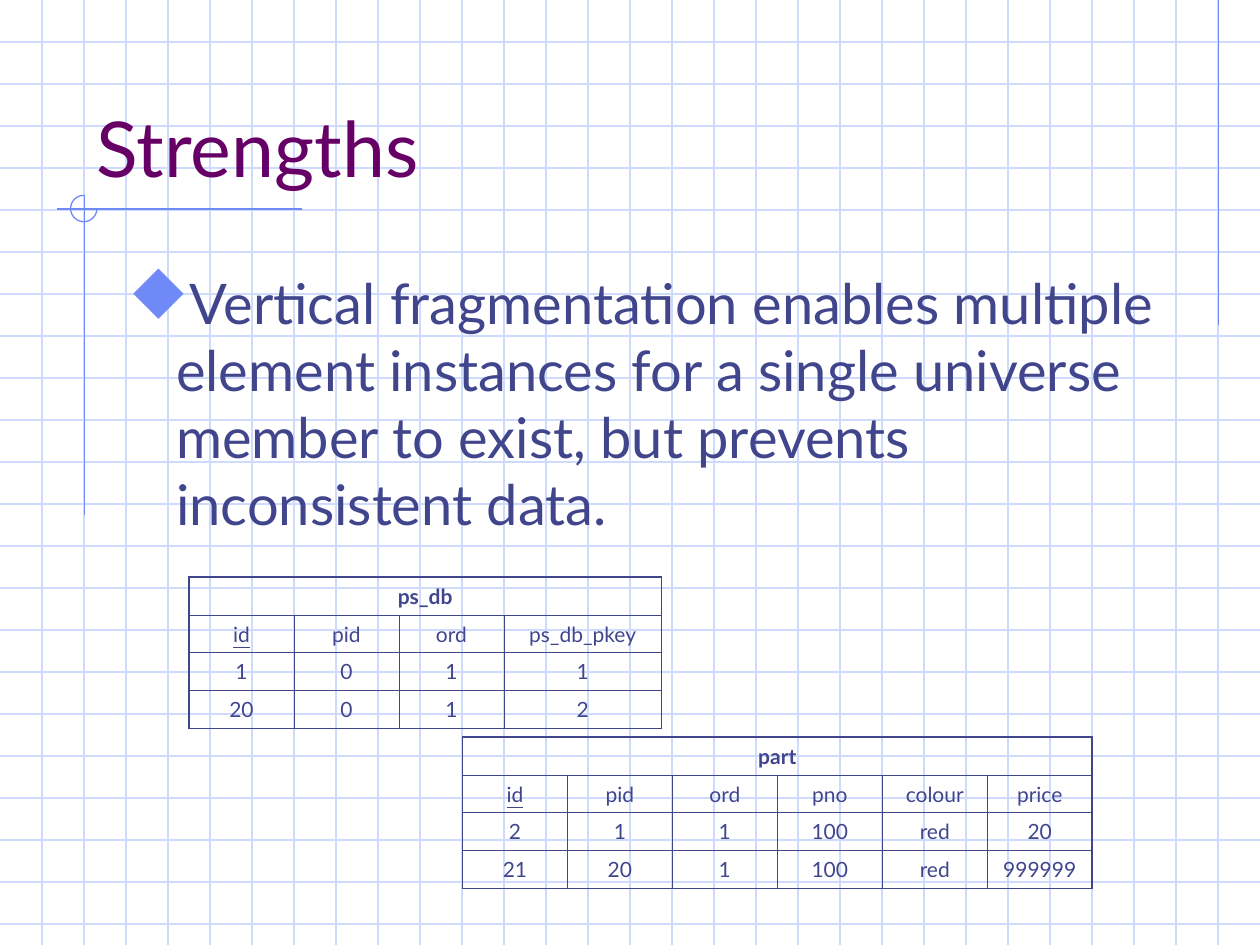
from lxml import etree
from pptx import Presentation
from pptx.dml.color import RGBColor
from pptx.enum.shapes import MSO_CONNECTOR, MSO_SHAPE
from pptx.enum.text import MSO_ANCHOR, PP_ALIGN
from pptx.oxml.ns import qn
from pptx.util import Inches, Pt

STRAIGHT = MSO_CONNECTOR.STRAIGHT
ARC = MSO_SHAPE.ARC
BOTTOM, TOP = MSO_ANCHOR.BOTTOM, MSO_ANCHOR.TOP
CENTER = PP_ALIGN.CENTER

FONT = "Lato"
SYMBOL_FONT, DIAMOND = "Wingdings", "u"
GRID, ACCENT, PLUM, INK = "CFDBFD", "6F89F7", "660066", "40458C"
WIDTH, HEIGHT = 10, 7.5
ROW_HEIGHT = 0.3
THIN, THICK = 0.45, 1.08


def rgb(color):
    return RGBColor.from_string(color)


def sub(parent, tag, **attrs):
    return etree.SubElement(parent, qn(tag), attrs)


def set_font(p, color, **values):
    """Format the runs of a paragraph."""
    for r in p.runs:
        r.font.name = FONT
        r.font.color.rgb = rgb(color)
        for name, value in values.items():
            setattr(r.font, name, value)


def add_line(s, start, end, color):
    points = [Inches(v) for v in (*start, *end)]
    line = s.shapes.add_connector(STRAIGHT, *points)
    line.line.color.rgb = rgb(color)
    line.line.width = Pt(0.75)
    sub(line._element.spPr, "a:effectLst")


def add_grid(s):
    for i in range(1, 23):
        add_line(s, (0, i / 3), (WIDTH, i / 3), GRID)
    for i in range(1, 30):
        add_line(s, (i / 3, 0), (i / 3, HEIGHT), GRID)


def add_ornament(s):
    """Accent lines and the three-quarter circle where two of them cross."""
    add_line(s, (9.67, 0), (9.67, 2.58), ACCENT)
    add_line(s, (2.4, 1.66), (0.45, 1.66), ACCENT)
    add_line(s, (0.67, 1.55), (0.67, 4.09), ACCENT)
    sp = s.shapes.add_shape(ARC, *map(Inches, (0.56, 1.55, 0.21, 0.21)))
    sp.shadow.inherit = False
    sp.adjustments[0], sp.adjustments[1] = 0, 162
    sp.fill.background()
    sp.line.color.rgb = rgb(ACCENT)
    sp.line.width = Pt(0.75)


def add_text(s, box, text, size, color, anchor):
    tf = s.shapes.add_textbox(*map(Inches, box)).text_frame
    tf.word_wrap = True
    tf.vertical_anchor = anchor
    p = tf.paragraphs[0]
    p.text = text
    set_font(p, color, size=Pt(size))
    return p


def add_bullet(p, char, color):
    """Hanging bullet whose character code belongs to the symbol font."""
    pPr = p._p.get_or_add_pPr()
    pPr.set("marL", str(Inches(0.38)))
    pPr.set("indent", str(Inches(-0.38)))
    sub(sub(pPr, "a:buClr"), "a:srgbClr", val=color)
    sub(pPr, "a:buSzPct", val="110000")
    sub(pPr, "a:buFont", typeface=SYMBOL_FONT, pitchFamily="2", charset="2")
    sub(pPr, "a:buChar", char=char)


def set_borders(cell, widths):
    tcPr = cell._tc.get_or_add_tcPr()
    for side, width in widths.items():
        ln = sub(tcPr, f"a:ln{side}", w=str(Pt(width)))
        sub(sub(ln, "a:solidFill"), "a:srgbClr", val=INK)


def add_relation(s, left, top, col_widths, name, rows):
    """A database table: merged name row, column names with underlined key, data."""
    n_rows, n_cols = len(rows) + 1, len(col_widths)
    size = (sum(col_widths), n_rows * ROW_HEIGHT)
    table = s.shapes.add_table(n_rows, n_cols,
                               *map(Inches, (left, top, *size))).table
    table.first_row = table.horz_banding = False
    for column, width in zip(table.columns, col_widths):
        column.width = Inches(width)
    table.cell(0, 0).merge(table.cell(0, n_cols - 1))
    title_row = [name] + [""] * (n_cols - 1)
    for i, row in enumerate([title_row, *rows]):
        table.rows[i].height = Inches(ROW_HEIGHT)
        for j, text in enumerate(row):
            cell = table.cell(i, j)
            outer = {"L": j == 0, "R": j == n_cols - 1 or i == 0,
                     "T": i == 0, "B": i == n_rows - 1}
            set_borders(cell, {k: THICK if v else THIN for k, v in outer.items()})
            cell.fill.background()
            p = cell.text_frame.paragraphs[0]
            p.alignment = CENTER
            p.font.size = Pt(12)
            if text:
                p.text = text
                set_font(p, INK, size=Pt(12), bold=i == 0,
                         underline=(i, j) == (1, 0))


def main():
    prs = Presentation()
    prs.slide_width, prs.slide_height = Inches(WIDTH), Inches(HEIGHT)
    s = prs.slides.add_slide(prs.slide_layouts[6])
    add_grid(s)
    add_ornament(s)
    add_text(s, (0.67, 0.33, 8.5, 1.25), "Strengths", 44, PLUM, BOTTOM)
    p = add_text(s, (0.92, 2.08, 8.5, 4.5),
                 "Vertical fragmentation enables multiple element instances for a "
                 "single universe member to exist, but prevents inconsistent data.",
                 32, INK, TOP)
    add_bullet(p, DIAMOND, ACCENT)
    col = 5 / 6
    add_relation(s, 3.67, 5.85, [col] * 6, "part", [
        ["id", "pid", "ord", "pno", "colour", "price"],
        ["2", "1", "1", "100", "red", "20"],
        ["21", "20", "1", "100", "red", "999999"],
    ])
    add_relation(s, 1.5, 4.58, [col] * 3 + [1.25], "ps_db", [
        ["id", "pid", "ord", "ps_db_pkey"],
        ["1", "0", "1", "1"],
        ["20", "0", "1", "2"],
    ])
    prs.save("out.pptx")


if __name__ == "__main__":
    main()
